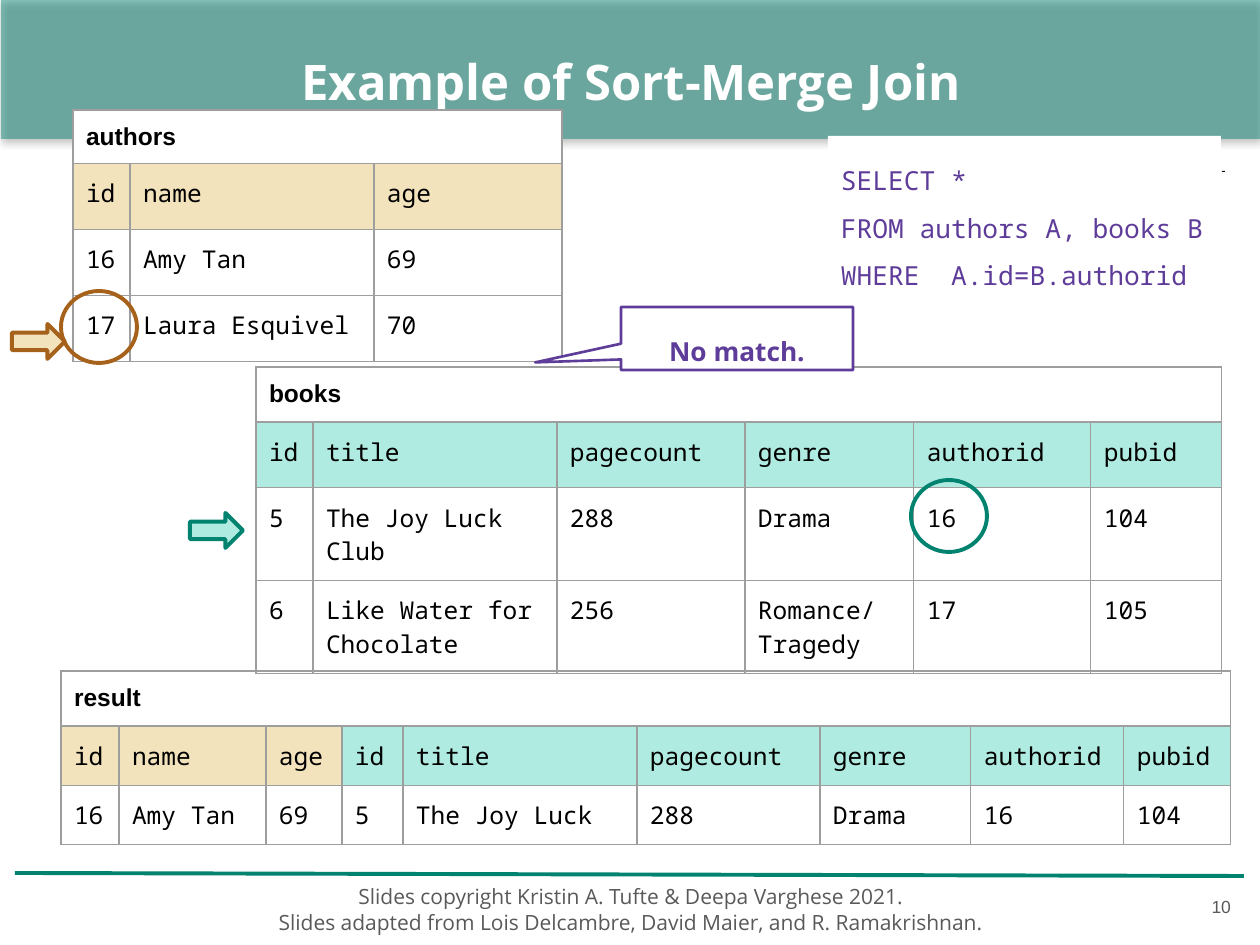
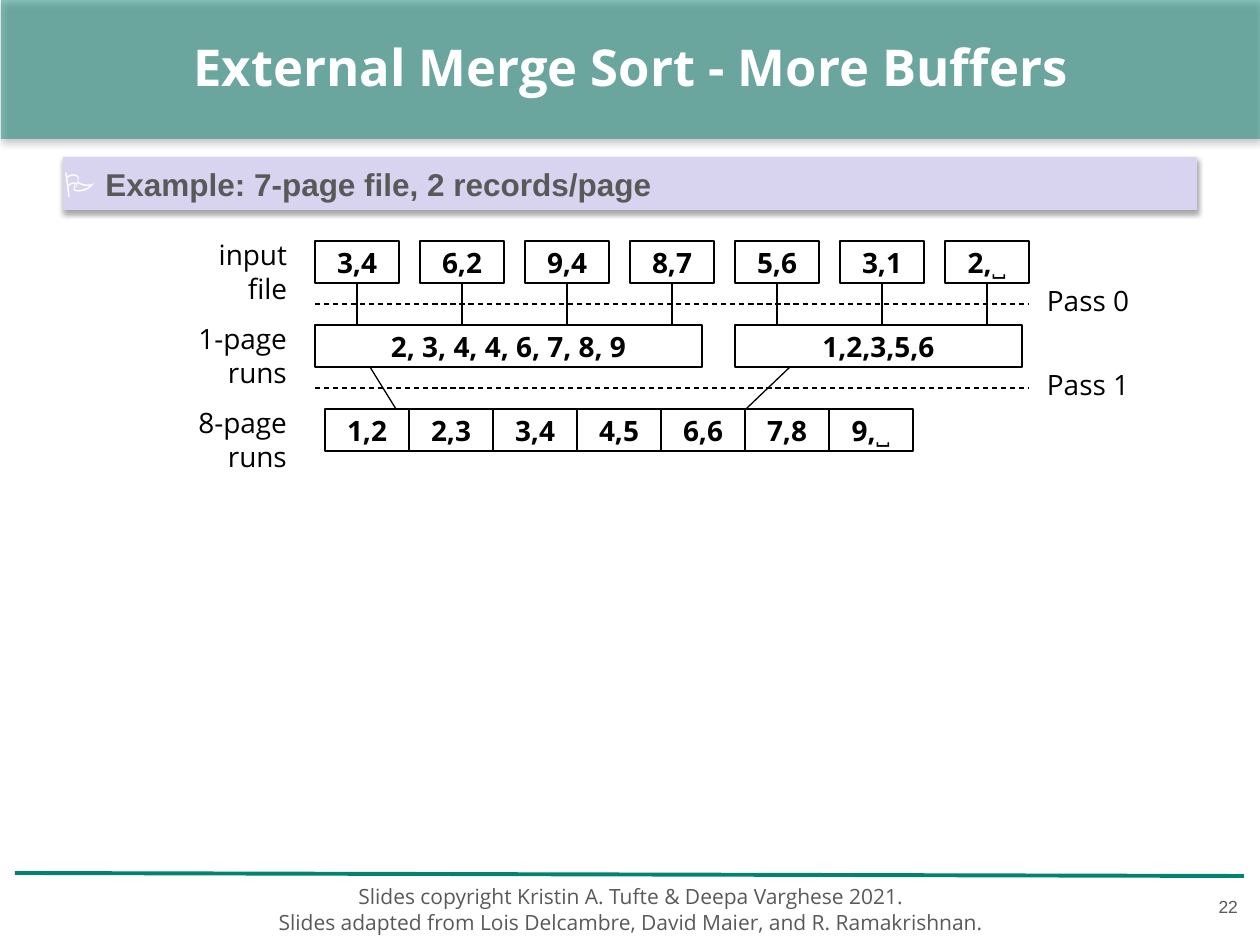
"""Build two database slides: a sort-merge join step and an external merge sort."""
import pptx
import pptx.dml.color
import pptx.enum.dml
import pptx.enum.shapes
import pptx.enum.text
import pptx.oxml
import pptx.oxml.ns
import pptx.util

TEAL, MINT, BROWN, SAND = "018370", "B0EBE1", "A6611A", "F3E3BC"
PURPLE, LILAC, GREY, BORDER = "5E3C99", "D8D3EE", "595959", "9E9E9E"
WHITE, BLACK = "FFFFFF", "000000"

SHAPE = pptx.enum.shapes.MSO_SHAPE
ALIGN = pptx.enum.text.PP_ALIGN
ANCHOR = pptx.enum.text.MSO_ANCHOR
DASH = pptx.enum.dml.MSO_LINE.DASH

TITLE = {"name": "Open Sans", "bold": True, "color": WHITE}
FOOTER = {"name": "Open Sans", "size": 12, "color": GREY}
NUMBER = {"name": "Arial", "size": 10, "color": GREY}
TABLE_NAME = {"name": "Arial", "size": 14, "bold": True, "color": BLACK}
TABLE_CELL = {"name": "Noto Sans Mono", "size": 14, "bold": False, "color": BLACK}
QUERY = {"name": "Noto Sans Mono", "size": 15, "color": PURPLE}
REMARK = {"name": "Open Sans", "size": 15, "bold": True, "color": PURPLE}
FLAG = {"name": "Noto Sans", "size": 18, "color": WHITE}
EXAMPLE = {"name": "Arial", "size": 18, "bold": True, "color": GREY}
LABEL = {"name": "Open Sans", "size": 16, "color": BLACK}
PAGE = {**LABEL, "bold": True}

CREDITS = [
    "Slides copyright Kristin A. Tufte & Deepa Varghese 2021.",
    "Slides adapted from Lois Delcambre, David Maier, and R. Ramakrishnan.",
]

BOOKS = {
    "name": "books", "at": (256, 367), "name_fill": None, "row_fill": None,
    "columns": [57, 244, 188, 169, 177, 131], "heights": [55, 66, 92, 92],
    "header_fills": [MINT] * 6,
    "rows": [
        ["id", "title", "pagecount", "genre", "authorid", "pubid"],
        ["5", "The Joy Luck Club", "288", "Drama", "16", "104"],
        ["6", "Like Water for Chocolate", "256", "Romance/Tragedy", "17", "105"],
    ],
}
AUTHORS = {
    "name": "authors", "at": (73, 110), "name_fill": WHITE, "row_fill": None,
    "columns": [57, 244, 188], "heights": [53, 66, 66, 66],
    "header_fills": [SAND] * 3,
    "rows": [
        ["id", "name", "age"],
        ["16", "Amy Tan", "69"],
        ["17", "Laura Esquivel", "70"],
    ],
}
RESULT = {
    "name": "result", "at": (61, 671), "name_fill": None, "row_fill": WHITE,
    "columns": [58, 147, 76, 61, 234, 183, 151, 153, 107], "heights": [55, 54, 59],
    "header_fills": [SAND] * 3 + [MINT] * 6,
    "rows": [
        ["id", "name", "age", "id", "title", "pagecount", "genre", "authorid", "pubid"],
        ["16", "Amy Tan", "69", "5", "The Joy Luck", "288", "Drama", "16", "104"],
    ],
}
SQL = ["SELECT *", "FROM authors A, books B", "WHERE  A.id=B.authorid"]
CURSORS = [((12, 324), SAND, BROWN), ((190, 513), MINT, TEAL)]
COMPARED_IDS = [((61, 291), BROWN), ((911, 480), TEAL)]

INPUT_PAGES = ["3,4", "6,2", "9,4", "8,7", "5,6", "3,1", "2,˽"]
SORTED_RUNS = [("2, 3, 4, 4, 6, 7, 8, 9", 315, 387), ("1,2,3,5,6", 735, 287)]
MERGED_PAGES = ["1,2", "2,3", "3,4", "4,5", "6,6", "7,8", "9,˽"]
STAGES = [("input file", 118), ("1-page runs", 164), ("8-page runs", 164)]
PASSES = ["Pass 0", "Pass 1"]
MERGE_LINES = [(370, 396), (790, 746)]
PAGE_WIDTH, PAGE_HEIGHT, PAGE_PITCH = 84, 42, 105
INPUT_LEFT, MERGED_LEFT, STAGE_TOP, STAGE_PITCH = 315, 325, 241, 84


def px(length):
    return pptx.util.Emu(round(length * 914400 / 126))


def rgb(color):
    return pptx.dml.color.RGBColor.from_string(color)


def assign(target, values):
    for key, value in values.items():
        setattr(target, key, value)


def paint(fill, color):
    if color:
        fill.solid()
        fill.fore_color.rgb = rgb(color)
    else:
        fill.background()


def stroke(line, color, width):
    paint(line.fill, color)
    if color:
        line.width = pptx.util.Pt(width)


def write(frame, paragraphs, style, align=ALIGN.LEFT, spacing=None, anchor=ANCHOR.TOP, inset=(13, 13)):
    """Fill a text frame; a paragraph is a string or a list of (text, style) runs."""
    across, down = map(px, inset)
    assign(frame, {"word_wrap": True, "auto_size": pptx.enum.text.MSO_AUTO_SIZE.NONE,
                   "vertical_anchor": anchor, "margin_left": across,
                   "margin_right": across, "margin_top": down, "margin_bottom": down})
    for index, content in enumerate(paragraphs):
        paragraph = frame.add_paragraph() if index else frame.paragraphs[0]
        assign(paragraph, {"alignment": align, "line_spacing": spacing})
        for text, look in [(content, style)] if isinstance(content, str) else content:
            run = paragraph.add_run()
            run.text = text
            values = dict(look)
            run.font.color.rgb = rgb(values.pop("color"))
            values["size"] = pptx.util.Pt(values["size"])
            assign(run.font, values)


def add_box(slide, kind, at, fill=None, line=None, width=0.75):
    box = slide.shapes.add_shape(kind, *map(px, at))
    box.shadow.inherit = False
    paint(box.fill, fill)
    stroke(box.line, line, width)
    return box


def add_label(slide, at, paragraphs, style, **layout):
    label = slide.shapes.add_textbox(*map(px, at))
    write(label.text_frame, paragraphs, style, **layout)
    return label


def add_line(slide, start, end, color=BLACK, width=0.75, dash=None):
    line = slide.shapes.add_connector(
        pptx.enum.shapes.MSO_CONNECTOR.STRAIGHT, *map(px, start + end))
    stroke(line.line, color, width)
    line.line.dash_style = dash
    line.element.spPr.append(pptx.oxml.parse_xml(f'<a:effectLst {pptx.oxml.ns.nsdecls("a")}/>'))
    return line


def cast_shadow(box, alpha, blur, distance):
    effects = box.element.spPr.find(pptx.oxml.ns.qn("a:effectLst"))
    effects.append(pptx.oxml.parse_xml(
        f'<a:outerShdw {pptx.oxml.ns.nsdecls("a")} blurRad="{pptx.util.Pt(blur)}" '
        f'dist="{pptx.util.Pt(distance)}" dir="5400000" algn="bl" rotWithShape="0">'
        f'<a:srgbClr val="{BLACK}"><a:alpha val="{alpha * 1000}"/></a:srgbClr></a:outerShdw>'))


def furnish_layout(layout, slide):
    """Draw the shared band, rule and credits, and move them to the layout."""
    band = add_box(slide, SHAPE.RECTANGLE, (1, 0, 1260, 139), TEAL)
    color = band.element.spPr.find(".//" + pptx.oxml.ns.qn("a:srgbClr"))
    color.append(pptx.oxml.parse_xml(f'<a:alpha {pptx.oxml.ns.nsdecls("a")} val="46000"/>'))
    cast_shadow(band, 50, 4.5, 1.5)
    rule = add_line(slide, (15, 873), (1244, 876), TEAL, 2.25)
    credits = add_label(slide, (67, 873, 1128, 72), CREDITS, FOOTER,
                        align=ALIGN.CENTER, anchor=ANCHOR.MIDDLE, inset=(13, 6))
    for number, part in enumerate([band, rule, credits], 101):
        part.element.xpath("./*/p:cNvPr")[0].set("id", str(number))
        layout.shapes.element.append(part.element)


def add_heading(slide, title, size, number, inset, spacing=None):
    heading = slide.shapes.title
    assign(heading, dict(zip(("left", "top", "width", "height"), map(px, (1, -3, 1260, 139)))))
    write(heading.text_frame, [title], {**TITLE, "size": size}, align=ALIGN.CENTER,
          spacing=spacing, anchor=ANCHOR.MIDDLE, inset=inset)
    add_label(slide, (1168, 871, 76, 72), [number], NUMBER, align=ALIGN.RIGHT,
              anchor=ANCHOR.MIDDLE, inset=inset)


def fill_cell(cell, text, style, fill):
    write(cell.text_frame, [text], style)
    assign(cell, {"margin_left": px(13), "margin_right": px(13),
                  "margin_top": px(13), "margin_bottom": px(13),
                  "vertical_anchor": ANCHOR.TOP})
    add_borders(cell)
    paint(cell.fill, fill)


def add_borders(cell):
    properties = cell._tc.get_or_add_tcPr()
    for side in ("lnL", "lnR", "lnT", "lnB"):
        properties.append(pptx.oxml.parse_xml(
            f'<a:{side} {pptx.oxml.ns.nsdecls("a")} w="{pptx.util.Pt(0.75)}">'
            f'<a:solidFill><a:srgbClr val="{BORDER}"/></a:solidFill></a:{side}>'))


def add_relation(slide, relation):
    columns, heights = relation["columns"], relation["heights"]
    table = slide.shapes.add_table(
        len(heights), len(columns),
        *map(px, (*relation["at"], sum(columns), sum(heights)))).table
    assign(table, {"first_row": False, "horz_banding": False})
    for column, width in zip(table.columns, columns):
        column.width = px(width)
    for row, height in zip(table.rows, heights):
        row.height = px(height)
    table.cell(0, 0).merge(table.cell(0, len(columns) - 1))
    fill_cell(table.cell(0, 0), relation["name"], TABLE_NAME, relation["name_fill"])
    for index in range(1, len(columns)):
        add_borders(table.cell(0, index))
    for row, values in enumerate(relation["rows"], 1):
        fills = relation["header_fills"] if row == 1 else [relation["row_fill"]] * len(columns)
        for column, (value, fill) in enumerate(zip(values, fills)):
            fill_cell(table.cell(row, column), value, TABLE_CELL, fill)


def build_join(slide):
    add_heading(slide, "Example of Sort-Merge Join", 28, "10", (13, 6), 1.5)
    add_box(slide, SHAPE.RECTANGLE, (1222, 171, 3, 1), BLACK)
    add_relation(slide, BOOKS)
    add_relation(slide, AUTHORS)
    for at, fill, line in CURSORS:
        add_box(slide, SHAPE.RIGHT_ARROW, (*at, 53, 35), fill, line, 2.25)
    query = add_box(slide, SHAPE.RECTANGLE, (828, 136, 393, 152), WHITE)
    write(query.text_frame, SQL, QUERY, spacing=1.5)
    remark = add_box(slide, SHAPE.ROUNDED_RECTANGULAR_CALLOUT, (621, 307, 232, 63),
                     WHITE, PURPLE, 1.5)
    for index, value in enumerate((-0.87, 0.38, 0)):
        remark.adjustments[index] = value
    write(remark.text_frame, ["No match."], REMARK, align=ALIGN.CENTER, spacing=1.5)
    for at, line in COMPARED_IDS:
        add_box(slide, SHAPE.OVAL, (*at, 76, 72), None, line, 2.25)
    add_relation(slide, RESULT)


def add_page(slide, text, left, stage, width=PAGE_WIDTH):
    top = STAGE_TOP + stage * STAGE_PITCH
    page = add_box(slide, SHAPE.RECTANGLE, (left, top, width, PAGE_HEIGHT), WHITE, BLACK)
    write(page.text_frame, [text], PAGE, align=ALIGN.CENTER, anchor=ANCHOR.MIDDLE, inset=(0, 0))


def build_sort(slide):
    add_heading(slide, "External Merge Sort - More Buffers", 29, "22", (6, 6))
    example = add_box(slide, SHAPE.RECTANGLE, (63, 157, 1134, 53), LILAC)
    cast_shadow(example, 35, 3, 1.8)
    write(example.text_frame, [[("🏱 ", FLAG), ("Example: 7-page file, 2 records/page", EXAMPLE)]],
          EXAMPLE, anchor=ANCHOR.MIDDLE, inset=(0, 0))
    runs_top = STAGE_TOP + STAGE_PITCH
    for index, text in enumerate(INPUT_PAGES):
        left = INPUT_LEFT + index * PAGE_PITCH
        center = left + PAGE_WIDTH // 2
        add_page(slide, text, left, 0)
        add_line(slide, (center, STAGE_TOP + PAGE_HEIGHT), (center, runs_top))
    for text, left, width in SORTED_RUNS:
        add_page(slide, text, left, 1, width)
    for start, end in MERGE_LINES:
        add_line(slide, (start, runs_top + PAGE_HEIGHT), (end, runs_top + STAGE_PITCH))
    for index, text in enumerate(MERGED_PAGES):
        add_page(slide, text, MERGED_LEFT + index * PAGE_WIDTH, 2)
    for stage, (text, width) in enumerate(STAGES):
        add_label(slide, (293 - width, 232 + stage * STAGE_PITCH, width, 45), [text], LABEL,
                  align=ALIGN.RIGHT, inset=(6, 6))
    for stage, text in enumerate(PASSES):
        level = 304 + stage * STAGE_PITCH
        add_line(slide, (INPUT_LEFT, level), (1029, level), dash=DASH)
        add_label(slide, (1041, level - 26, 100, 45), [text], LABEL, inset=(6, 6))


def main():
    deck = pptx.Presentation()
    assign(deck, {"slide_width": px(1260), "slide_height": px(945)})
    layout = deck.slide_layouts[5]
    join, sort = (deck.slides.add_slide(layout) for _ in range(2))
    furnish_layout(layout, join)
    build_join(join)
    build_sort(sort)
    deck.save("out.pptx")


if __name__ == "__main__":
    main()
